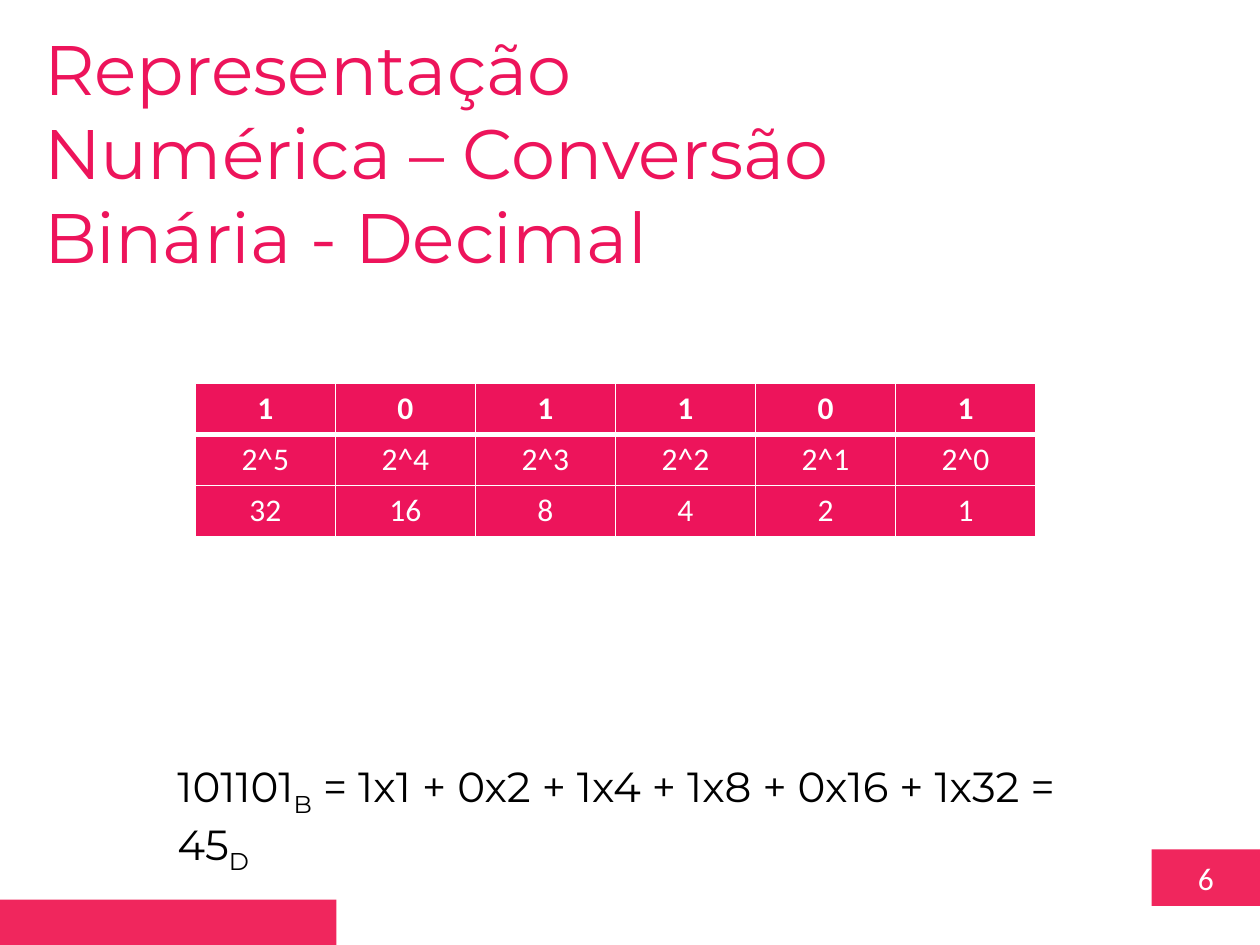
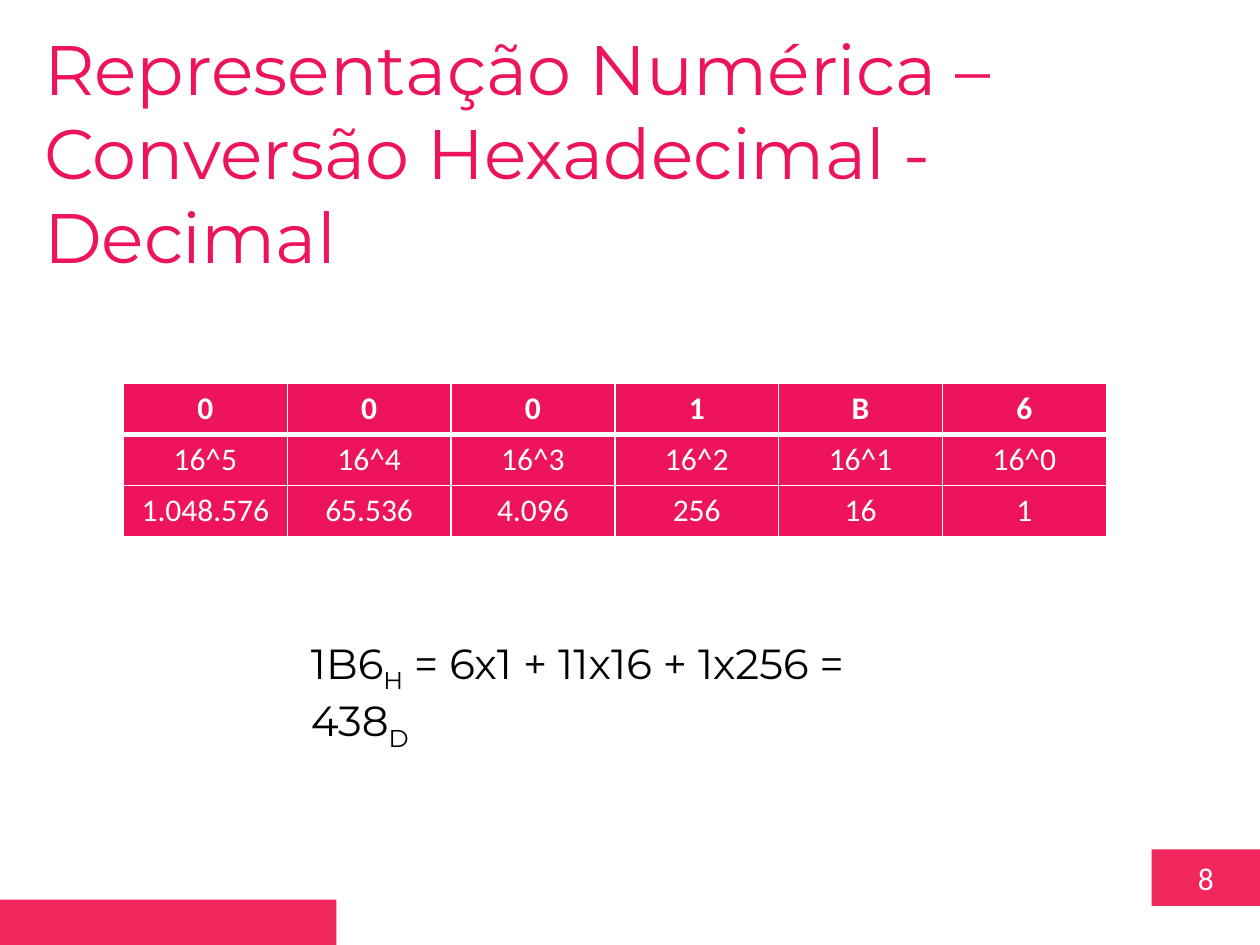
import dataclasses

import lxml.etree
import pptx
import pptx.dml.color
import pptx.dml.fill
import pptx.enum.shapes
import pptx.enum.text
import pptx.oxml.ns
import pptx.presentation
import pptx.slide
import pptx.table
import pptx.text.text
import pptx.util

SLIDE_WIDTH = pptx.util.Inches(10)
SLIDE_HEIGHT = pptx.util.Inches(7.5)
GRID_COLUMNS, GRID_ROWS = 100, 75

CRIMSON, BAND_PINK, WHITE, BLACK = "ED145B", "F0265D", "FFFFFF", "000000"
DISPLAY_FONT, NUMBER_FONT = "Montserrat", "Calibri"
TITLE_SIZE, EQUATION_SIZE, NUMBER_SIZE = 40, 24, 18
TITLE_ONLY_LAYOUT = 5
THIN_RULE, HEADER_RULE = 1, 3


@dataclasses.dataclass(frozen=True)
class Area:
    column: float
    row: float
    columns: float
    rows: float

    def box(self) -> tuple[int, int, int, int]:
        across = SLIDE_WIDTH / GRID_COLUMNS
        down = SLIDE_HEIGHT / GRID_ROWS
        return (round(self.column * across), round(self.row * down),
                round(self.columns * across), round(self.rows * down))


@dataclasses.dataclass(frozen=True)
class Equation:
    number: str
    base_mark: str
    expansion: str
    result_mark: str
    area: Area


@dataclasses.dataclass(frozen=True)
class Conversion:
    page: int
    title: str
    title_columns: float
    digits: str
    base: int
    table_area: Area
    equation: Equation


PAGE_BADGE = Area(91.4, 67.4, 8.6, 4.5)
FOOTER_BAND = Area(0, 71.4, 26.7, 3.6)

CONVERSIONS = [
    Conversion(
        6, "Representação Numérica – Conversão Binária - Decimal", 69.2,
        "101101", 2, Area(15.5, 30.4, 66.7, 12.2),
        Equation("101101", "B", " = 1x1 + 0x2 + 1x4 + 1x8 + 0x16 + 1x32 = 45", "D",
                 Area(13.1, 59.9, 73.9, 5)),
    ),
    Conversion(
        8, "Representação Numérica – Conversão Hexadecimal - Decimal", 79.7,
        "0001B6", 16, Area(9.8, 30.4, 78, 12.2),
        Equation("1B6", "H", " = 6x1 + 11x16 + 1x256 = 438", "D",
                 Area(23.7, 50.1, 52.7, 5)),
    ),
]


def color(code: str) -> pptx.dml.color.RGBColor:
    return pptx.dml.color.RGBColor.from_string(code)


def paint(fill: pptx.dml.fill.FillFormat, code: str) -> None:
    fill.solid()
    fill.fore_color.rgb = color(code)


def style(font: pptx.text.text.Font, family: str, size: float, code: str,
          bold: bool = False) -> None:
    font.name = family
    font.size = pptx.util.Pt(size)
    font.bold = bold
    font.color.rgb = color(code)


def write_number(frame: pptx.text.text.TextFrame, text: str, bold: bool = False) -> None:
    frame.text = text
    line = frame.paragraphs[0]
    line.alignment = pptx.enum.text.PP_ALIGN.CENTER
    style(line.runs[0].font, NUMBER_FONT, NUMBER_SIZE, WHITE, bold)


def let_grow(frame: pptx.text.text.TextFrame) -> None:
    frame.word_wrap = True
    frame.vertical_anchor = pptx.enum.text.MSO_ANCHOR.TOP
    frame.auto_size = pptx.enum.text.MSO_AUTO_SIZE.SHAPE_TO_FIT_TEXT


def add_band(slide: pptx.slide.Slide, area: Area, label: str = "") -> None:
    band = slide.shapes.add_shape(pptx.enum.shapes.MSO_SHAPE.RECTANGLE, *area.box())
    band.shadow.inherit = False
    paint(band.fill, BAND_PINK)
    band.line.fill.background()
    if label:
        band.text_frame.vertical_anchor = pptx.enum.text.MSO_ANCHOR.MIDDLE
        write_number(band.text_frame, label)


def place_title(slide: pptx.slide.Slide, text: str, columns: float) -> None:
    title = slide.shapes.title
    title.left, title.top, title.width, title.height = Area(2.5, 1.5, columns, 14.5).box()
    title.text_frame.text = text
    let_grow(title.text_frame)
    heading = title.text_frame.paragraphs[0]
    heading.alignment = pptx.enum.text.PP_ALIGN.LEFT
    style(heading.runs[0].font, DISPLAY_FONT, TITLE_SIZE, CRIMSON)


def rule_cell(cell: pptx.table._Cell, top: float, bottom: float) -> None:
    properties = cell._tc.get_or_add_tcPr()
    widths = {"a:lnL": THIN_RULE, "a:lnR": THIN_RULE, "a:lnT": top, "a:lnB": bottom}
    for tag, width in widths.items():
        rule = lxml.etree.SubElement(properties, pptx.oxml.ns.qn(tag),
                                     w=str(pptx.util.Pt(width)))
        ink = lxml.etree.SubElement(rule, pptx.oxml.ns.qn("a:solidFill"))
        lxml.etree.SubElement(ink, pptx.oxml.ns.qn("a:srgbClr"), val=WHITE)


def add_place_values(slide: pptx.slide.Slide, conversion: Conversion) -> None:
    exponents = range(len(conversion.digits) - 1, -1, -1)
    lines = [
        list(conversion.digits),
        [f"{conversion.base}^{exponent}" for exponent in exponents],
        [f"{conversion.base ** exponent:,}".replace(",", ".") for exponent in exponents],
    ]
    place_values = slide.shapes.add_table(
        len(lines), len(exponents), *conversion.table_area.box()).table
    place_values.horz_banding = False
    for row, line in enumerate(lines):
        top = HEADER_RULE if row == 1 else THIN_RULE
        bottom = HEADER_RULE if row == 0 else THIN_RULE
        for column, value in enumerate(line):
            cell = place_values.cell(row, column)
            rule_cell(cell, top, bottom)
            paint(cell.fill, CRIMSON)
            write_number(cell.text_frame, value, bold=row == 0)


def add_equation(slide: pptx.slide.Slide, equation: Equation) -> None:
    frame = slide.shapes.add_textbox(*equation.area.box()).text_frame
    let_grow(frame)
    pieces = [
        (equation.number, False), (equation.base_mark, True),
        (equation.expansion, False), (equation.result_mark, True),
    ]
    for text, is_subscript in pieces:
        piece = frame.paragraphs[0].add_run()
        piece.text = text
        style(piece.font, DISPLAY_FONT, EQUATION_SIZE, BLACK)
        if is_subscript:
            piece._r.get_or_add_rPr().set("baseline", "-25000")


def add_conversion(deck: pptx.presentation.Presentation, conversion: Conversion) -> None:
    slide = deck.slides.add_slide(deck.slide_layouts[TITLE_ONLY_LAYOUT])
    paint(slide.background.fill, WHITE)
    add_band(slide, PAGE_BADGE, str(conversion.page))
    add_band(slide, FOOTER_BAND)
    place_title(slide, conversion.title, conversion.title_columns)
    add_place_values(slide, conversion)
    add_equation(slide, conversion.equation)


def main() -> None:
    deck = pptx.Presentation()
    deck.slide_width = SLIDE_WIDTH
    deck.slide_height = SLIDE_HEIGHT
    for conversion in CONVERSIONS:
        add_conversion(deck, conversion)
    deck.save("out.pptx")


if __name__ == "__main__":
    main()
